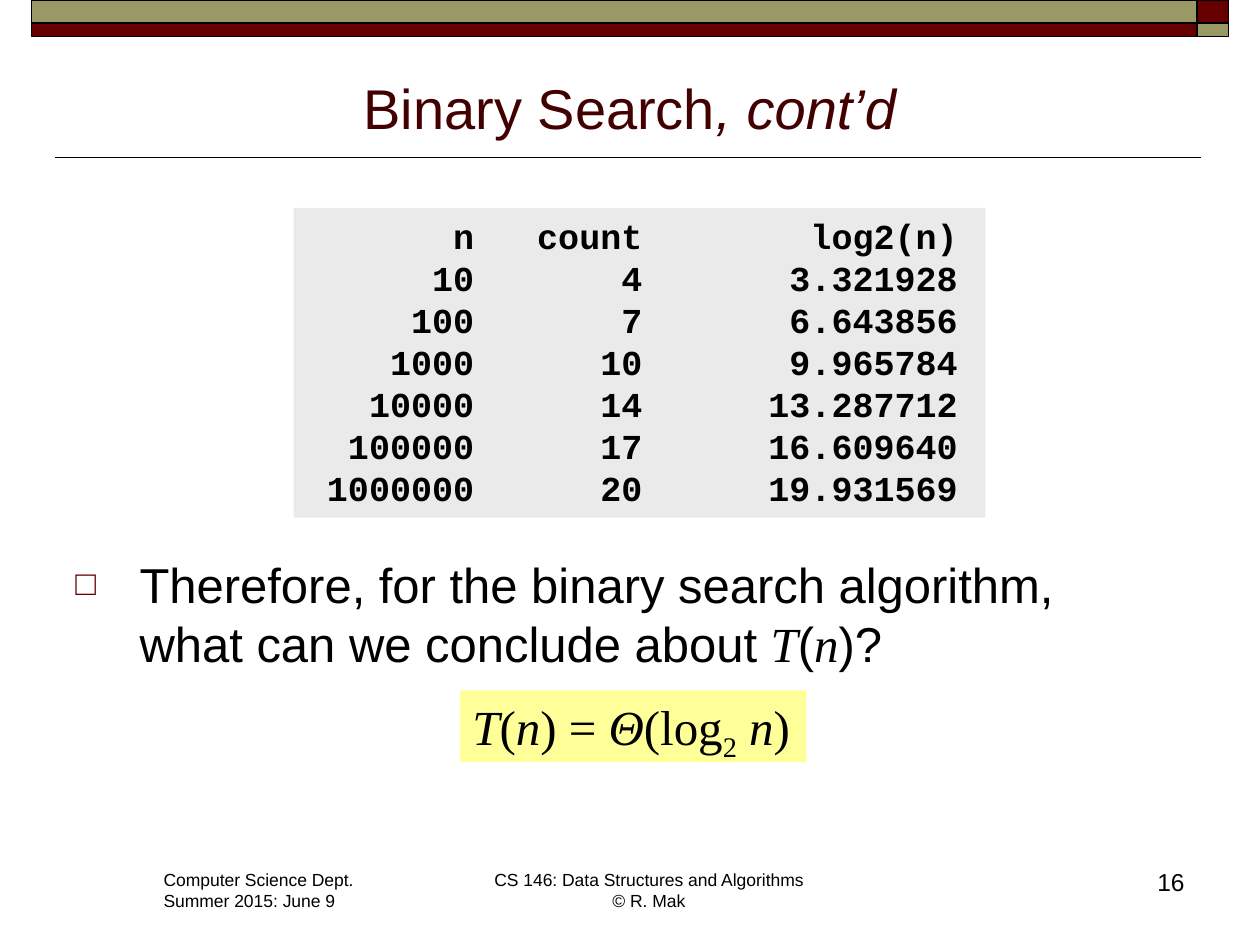
import pptx
import pptx.util
import pptx.dml.color
import pptx.enum.shapes
import pptx.enum.text
import pptx.oxml.ns
from lxml import etree

Inches = pptx.util.Inches
ALIGN = pptx.enum.text.PP_ALIGN
ANCHOR = pptx.enum.text.MSO_ANCHOR
AUTO_SIZE = pptx.enum.text.MSO_AUTO_SIZE

BLACK, MAROON, OLIVE = "000000", "660000", "999966"
SERIF = "Times New Roman"

RESULTS = [
    ("n", "count", "log2(n)"),
    ("10", "4", "3.321928"),
    ("100", "7", "6.643856"),
    ("1000", "10", "9.965784"),
    ("10000", "14", "13.287712"),
    ("100000", "17", "16.609640"),
    ("1000000", "20", "19.931569"),
]


def rgb(color):
    return pptx.dml.color.RGBColor.from_string(color)


def add_run(paragraph, text, size, font="Arial", color=BLACK, bold=False, italic=False):
    run = paragraph.add_run()
    run.text = text
    run.font.size = pptx.util.Pt(size)
    run.font.name = font
    run.font.color.rgb = rgb(color)
    run.font.bold = bold
    run.font.italic = italic
    return run


def add_rectangle(slide, box, fill, outline=None):
    rectangle = slide.shapes.add_shape(
        pptx.enum.shapes.MSO_SHAPE.RECTANGLE, *map(Inches, box))
    rectangle.shadow.inherit = False
    rectangle.fill.solid()
    rectangle.fill.fore_color.rgb = rgb(fill)
    if outline:
        rectangle.line.color.rgb = rgb(outline)
        rectangle.line.width = pptx.util.Pt(1)
    else:
        rectangle.line.fill.background()
    return rectangle


def add_panel(slide, box, fill):
    frame = add_rectangle(slide, box, fill).text_frame
    frame.word_wrap = False
    frame.vertical_anchor = ANCHOR.TOP
    return frame


def add_broken_text(paragraph, text, size, font="Arial", bold=False):
    for index, part in enumerate(text.split("\n")):
        if index:
            paragraph.add_line_break()
        add_run(paragraph, part, size, font, bold=bold)


def add_lines(frame, lines, align, size, font="Arial", bold=False):
    for index, line in enumerate(lines):
        paragraph = frame.add_paragraph() if index else frame.paragraphs[0]
        paragraph.alignment = align
        add_broken_text(paragraph, line, size, font, bold)


def add_label(slide, box, lines, align, size):
    frame = slide.shapes.add_textbox(*map(Inches, box)).text_frame
    frame.word_wrap = True
    add_lines(frame, lines, align, size)


def add_rule(slide, left, right, top):
    rule = slide.shapes.add_connector(
        pptx.enum.shapes.MSO_CONNECTOR.STRAIGHT,
        Inches(left), Inches(top), Inches(right), Inches(top))
    rule.line.color.rgb = rgb(BLACK)
    rule.line.width = pptx.util.Pt(1)
    etree.SubElement(rule._element.spPr, pptx.oxml.ns.qn("a:effectLst"))


def add_banner(slide):
    add_rule(slide, 0.44, 9.53, 1.25)
    for left, width, colors in [(0.25, 9.25, (OLIVE, MAROON)),
                                (9.5, 0.25, (MAROON, OLIVE))]:
        for top, height, color in zip((0, 0.18), (0.18, 0.11), colors):
            add_rectangle(slide, (left, top, width, height), color, BLACK)


def set_title(slide):
    title = slide.shapes.title
    title.left, title.top, title.width, title.height = map(Inches, (0.5, 0.45, 9, 0.72))
    frame = title.text_frame
    frame.auto_size = AUTO_SIZE.NONE
    frame.vertical_anchor = ANCHOR.BOTTOM
    heading = frame.paragraphs[0]
    heading.alignment = ALIGN.CENTER
    add_run(heading, "Binary Search", 32, color="420000")
    add_run(heading, ", cont’d", 32, color="420000", italic=True)


def add_bullet(paragraph, character, color, percent):
    properties = paragraph._p.get_or_add_pPr()
    indent = Inches(0.51)
    properties.set("marL", str(indent))
    properties.set("indent", str(-indent))
    qn = pptx.oxml.ns.qn
    bullet_color = etree.SubElement(properties, qn("a:buClr"))
    etree.SubElement(bullet_color, qn("a:srgbClr"), val=color)
    etree.SubElement(properties, qn("a:buSzPct"), val=str(percent * 1000))
    etree.SubElement(properties, qn("a:buFont"), typeface="Arial")
    etree.SubElement(properties, qn("a:buChar"), char=character)


def add_question(slide):
    frame = slide.shapes.add_textbox(*map(Inches, (0.5, 4.35, 9, 0.7))).text_frame
    frame.word_wrap = True
    question = frame.paragraphs[0]
    add_bullet(question, "□", MAROON, 70)
    add_broken_text(
        question,
        "Therefore, for the binary search algorithm,\nwhat can we conclude about ", 28)
    add_run(question, "T", 28, SERIF, italic=True)
    add_run(question, "(", 28)
    add_run(question, "n", 28, SERIF, italic=True)
    add_run(question, ")?", 28)


def add_answer(slide):
    formula = add_panel(slide, (3.65, 5.48, 2.75, 0.57), "FFFF99").paragraphs[0]
    formula.alignment = ALIGN.LEFT
    for text in ("T", "(", "n", ") = ", "Θ", "(log", "2", " ", "n", ")"):
        run = add_run(formula, text, 28, SERIF, italic=text in ("T", "n", "Θ"))
        if text == "2":
            run._r.get_or_add_rPr().set("baseline", "-25000")


def main():
    presentation = pptx.Presentation()
    presentation.slide_width = Inches(10)
    presentation.slide_height = Inches(7.5)
    slide = presentation.slides.add_slide(presentation.slide_layouts[5])

    add_banner(slide)
    set_title(slide)
    output = add_panel(slide, (2.33, 1.65, 5.49, 2.46), "EAEAEA")
    output_lines = [f"{n:>8}{count:>8}{log:>15}" for n, count, log in RESULTS]
    add_lines(output, output_lines, ALIGN.LEFT, 20, "Courier New", bold=True)
    add_question(slide)
    add_answer(slide)
    add_label(slide, (1.2, 6.85, 1.8, 0.44),
              ["Computer Science Dept.", "Summer 2015: June 9"], ALIGN.LEFT, 10)
    add_label(slide, (3.75, 6.85, 2.8, 0.44),
              ["CS 146: Data Structures and Algorithms\n© R. Mak"], ALIGN.CENTER, 10)
    add_label(slide, (7.42, 6.83, 2.08, 0.5), ["16"], ALIGN.RIGHT, 14)
    presentation.save("out.pptx")


if __name__ == "__main__":
    main()
